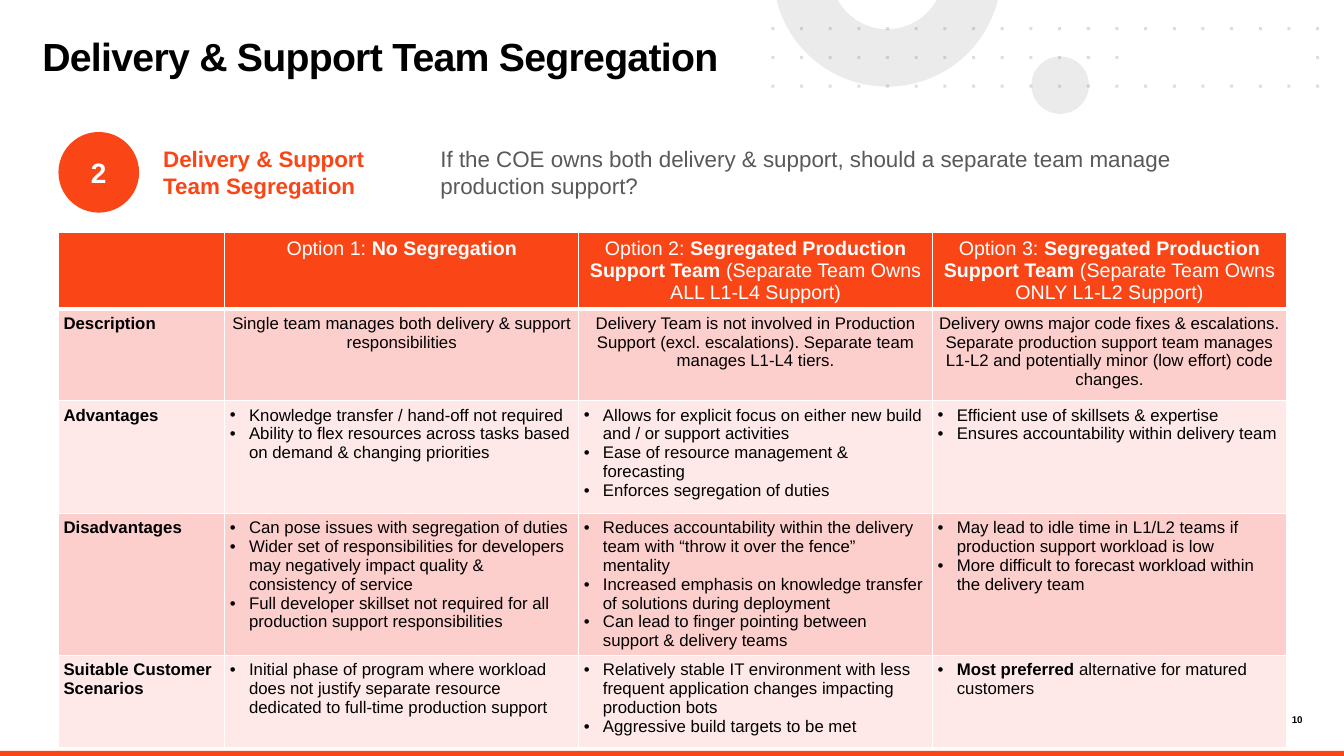
import math
from dataclasses import dataclass

from lxml import etree
from pptx import Presentation
from pptx import util as u
from pptx.dml.color import RGBColor
from pptx.enum import shapes, text
from pptx.oxml.ns import qn

LEFT, CENTER, RIGHT = text.PP_ALIGN.LEFT, text.PP_ALIGN.CENTER, text.PP_ALIGN.RIGHT
TOP, MIDDLE = text.MSO_ANCHOR.TOP, text.MSO_ANCHOR.MIDDLE
RECT, OVAL = shapes.MSO_SHAPE.RECTANGLE, shapes.MSO_SHAPE.OVAL


@dataclass(frozen=True)
class Theme:
    font: str = "Arial"
    accent: str = "FA4616"
    black: str = "000000"
    white: str = "FFFFFF"
    gray: str = "58595B"
    light_gray: str = "D9D9D9"
    dark_band: str = "FDCFCC"
    light_band: str = "FEE9E8"
    title: int = 28
    number: int = 20
    lead: int = 16
    header: int = 14
    body: int = 12
    page_number: int = 7


def px(length):
    """Turn a length at 100 px to the inch into EMU."""
    return u.Emu(round(length * 9144))


class SlideBuilder:
    def __init__(self, page, theme):
        self.page = page
        self.theme = theme

    def add_spans(self, para, content, size, color, align=LEFT, bold=False):
        """Add runs to a paragraph; parts between asterisks are bold."""
        para.alignment = align
        for index, part in enumerate(content.split("*")):
            if part:
                span = para.add_run()
                span.text = part
                span.font.name = self.theme.font
                span.font.size = u.Pt(size)
                span.font.bold = bold or index % 2 == 1
                span.font.color.rgb = RGBColor.from_string(color)

    def frame(self, box, inset, anchor):
        frame = box.text_frame
        frame.word_wrap = True
        frame.auto_size = text.MSO_AUTO_SIZE.NONE
        frame.vertical_anchor = anchor
        frame.margin_left = frame.margin_right = px(inset)
        frame.margin_top = frame.margin_bottom = px(inset)
        return frame

    def paint(self, shape, color, alpha=100):
        shape.shadow.inherit = False
        shape.line.fill.background()
        shape.fill.solid()
        shape.fill.fore_color.rgb = RGBColor.from_string(color)
        if alpha < 100:
            value = shape._element.spPr.find(qn("a:solidFill") + "/" + qn("a:srgbClr"))
            etree.SubElement(value, qn("a:alpha")).set("val", str(alpha * 1000))

    def title(self, content, left, top, width, height):
        box = self.page.shapes.title
        box.left, box.top, box.width, box.height = map(px, (left, top, width, height))
        para = self.frame(box, 0, TOP).paragraphs[0]
        para.line_spacing = 0.85
        self.add_spans(para, content, self.theme.title, self.theme.black, bold=True)
        para.runs[0]._r.get_or_add_rPr().set("spc", "-50")

    def label(self, content, left, top, width, height, size, color, align=LEFT, bold=False):
        box = self.page.shapes.add_textbox(*map(px, (left, top, width, height)))
        para = self.frame(box, 0, TOP).paragraphs[0]
        self.add_spans(para, content, size, color, align, bold)

    def shape(self, kind, left, top, width, height, fill, alpha=100):
        box = self.page.shapes.add_shape(kind, *map(px, (left, top, width, height)))
        self.paint(box, fill, alpha)
        return box

    def panel(self, box, content, size, color, inset=10, align=LEFT, bold=False):
        """Put vertically centred text inside a shape."""
        para = self.frame(box, inset, MIDDLE).paragraphs[0]
        self.add_spans(para, content, size, color, align, bold)

    def outline(self, contours, fill, alpha):
        """Draw closed contours, given in px, as one filled shape."""
        contours = [[(px(x), px(y)) for x, y in contour] for contour in contours]
        builder = self.page.shapes.build_freeform(*contours[0][0])
        for index, contour in enumerate(contours):
            if index:
                builder.move_to(*contour[0])
            builder.add_line_segments(contour[1:], close=True)
        self.paint(builder.convert_to_shape(), fill, alpha)

    def cell_borders(self, cell, top, bottom):
        properties = cell._tc.get_or_add_tcPr()
        for tag, width in (("lnL", 1), ("lnR", 1), ("lnT", top), ("lnB", bottom)):
            line = etree.SubElement(properties, qn("a:" + tag), w=str(u.Pt(width)))
            fill = etree.SubElement(line, qn("a:solidFill"))
            etree.SubElement(fill, qn("a:srgbClr"), val=self.theme.white)

    def bullet(self, para):
        properties = para._p.get_or_add_pPr()
        properties.set("marL", str(px(19)))
        properties.set("indent", str(-px(19)))
        etree.SubElement(properties, qn("a:buFont"), typeface=self.theme.font)
        etree.SubElement(properties, qn("a:buChar"), char="•")

    def table(self, rows, left, top, widths, heights):
        theme = self.theme
        size = (len(rows), len(widths))
        bounds = map(px, (left, top, sum(widths), sum(heights)))
        table = self.page.shapes.add_table(*size, *bounds).table
        table.first_row = table.horz_banding = False
        for column, width in zip(table.columns, widths):
            column.width = px(width)
        for r, (row, height) in enumerate(zip(rows, heights)):
            table.rows[r].height = px(height)
            fill = theme.accent if r == 0 else theme.dark_band if r % 2 else theme.light_band
            for c, items in enumerate(row):
                cell = table.cell(r, c)
                self.cell_borders(cell, 3 if r == 1 else 1, 3 if r == 0 else 1)
                cell.fill.solid()
                cell.fill.fore_color.rgb = RGBColor.from_string(fill)
                cell.margin_left = cell.margin_right = px(5)
                cell.margin_top = cell.margin_bottom = px(5)
                for index, item in enumerate(items):
                    frame = cell.text_frame
                    para = frame.add_paragraph() if index else frame.paragraphs[0]
                    if r > 1 and c > 0:
                        self.bullet(para)
                    self.add_spans(para, item,
                                   theme.body if r else theme.header,
                                   theme.black if r else theme.white,
                                   CENTER if r < 2 and c > 0 else LEFT, bold=c == 0)


def ring_contour(center_x, center_y, outer, inner, steps=60):
    """Return the part of a ring that lies below the slide's top edge."""
    points = []
    for radius, inward in ((outer, False), (inner, True)):
        start = math.asin(-center_y / radius)
        sweep = math.pi - 2 * start
        angles = [start + sweep * step / steps for step in range(steps + 1)]
        for angle in reversed(angles) if inward else angles:
            points.append((center_x + radius * math.cos(angle),
                           center_y + radius * math.sin(angle)))
    return points


def dot_contours(left, top, step, side):
    """Return a 20 by 3 grid of dots with a gap in its middle row."""
    corners = ((0, 0), (side, 0), (side, side), (0, side))
    return [[(left + column * step + x, top + row * step + y) for x, y in corners]
            for row in range(3) for column in range(20)
            if not (row == 1 and 13 <= column <= 18)]


ROWS = [
    [[], ["Option 1: *No Segregation*"],
     ["Option 2: *Segregated Production Support Team* (Separate Team Owns ALL L1-L4 Support)"],
     ["Option 3: *Segregated Production Support Team* (Separate Team Owns ONLY L1-L2 Support)"]],
    [["Description"],
     ["Single team manages both delivery & support responsibilities"],
     ["Delivery Team is not involved in Production Support (excl. escalations). Separate team manages L1-L4 tiers."],
     ["Delivery owns major code fixes & escalations. Separate production support team manages L1-L2 and potentially minor (low effort) code changes."]],
    [["Advantages"],
     ["Knowledge transfer / hand-off not required",
      "Ability to flex resources across tasks based on demand & changing priorities"],
     ["Allows for explicit focus on either new build and / or support activities",
      "Ease of resource management & forecasting", "Enforces segregation of duties"],
     ["Efficient use of skillsets & expertise", "Ensures accountability within delivery team"]],
    [["Disadvantages"],
     ["Can pose issues with segregation of duties",
      "Wider set of responsibilities for developers may negatively impact quality & consistency of service",
      "Full developer skillset not required for all production support responsibilities"],
     ["Reduces accountability within the delivery team with “throw it over the fence” mentality",
      "Increased emphasis on knowledge transfer of solutions during deployment",
      "Can lead to finger pointing between support & delivery teams"],
     ["May lead to idle time in L1/L2 teams if production support workload is low",
      "More difficult to forecast workload within the delivery team"]],
    [["Suitable Customer Scenarios"],
     ["Initial phase of program where workload does not justify separate resource dedicated to full-time production support"],
     ["Relatively stable IT environment with less frequent application changes impacting production bots",
      "Aggressive build targets to be met"],
     ["*Most preferred* alternative for matured customers"]],
]


def main():
    deck = Presentation()
    deck.slide_width, deck.slide_height = u.Inches(13.33), u.Inches(7.5)
    theme = Theme()
    slide = SlideBuilder(deck.slides.add_slide(deck.slide_layouts[5]), theme)

    slide.label("10", 1253, 708, 39, 13, theme.page_number, theme.black, RIGHT, bold=True)
    slide.shape(RECT, 0, 745, 1333, 5, theme.accent)
    slide.shape(OVAL, 1023, 56, 57, 57, theme.light_gray, alpha=50)
    slide.outline([ring_contour(880, -27, 113, 56)], theme.light_gray, alpha=50)
    slide.outline(dot_contours(765, 27, 28.44, 3), theme.gray, alpha=20)

    slide.title("Delivery & Support Team Segregation", 42, 39, 723, 75)
    topic = slide.shape(RECT, 152, 131, 261, 80, theme.white)
    slide.panel(topic, "Delivery & Support Team Segregation", theme.lead, theme.accent, bold=True)
    badge = slide.shape(OVAL, 58, 131, 80, 80, theme.accent)
    slide.panel(badge, "2", theme.number, theme.white, inset=0, align=CENTER, bold=True)
    question = slide.shape(RECT, 427, 131, 848, 80, theme.white)
    slide.panel(question, "If the COE owns both delivery & support, should a separate team manage production support?",
                theme.lead, theme.gray)
    slide.table(ROWS, 58, 231, [165, 351, 351, 351], [54, 91, 112, 132, 91])
    deck.save("out.pptx")


if __name__ == "__main__":
    main()
